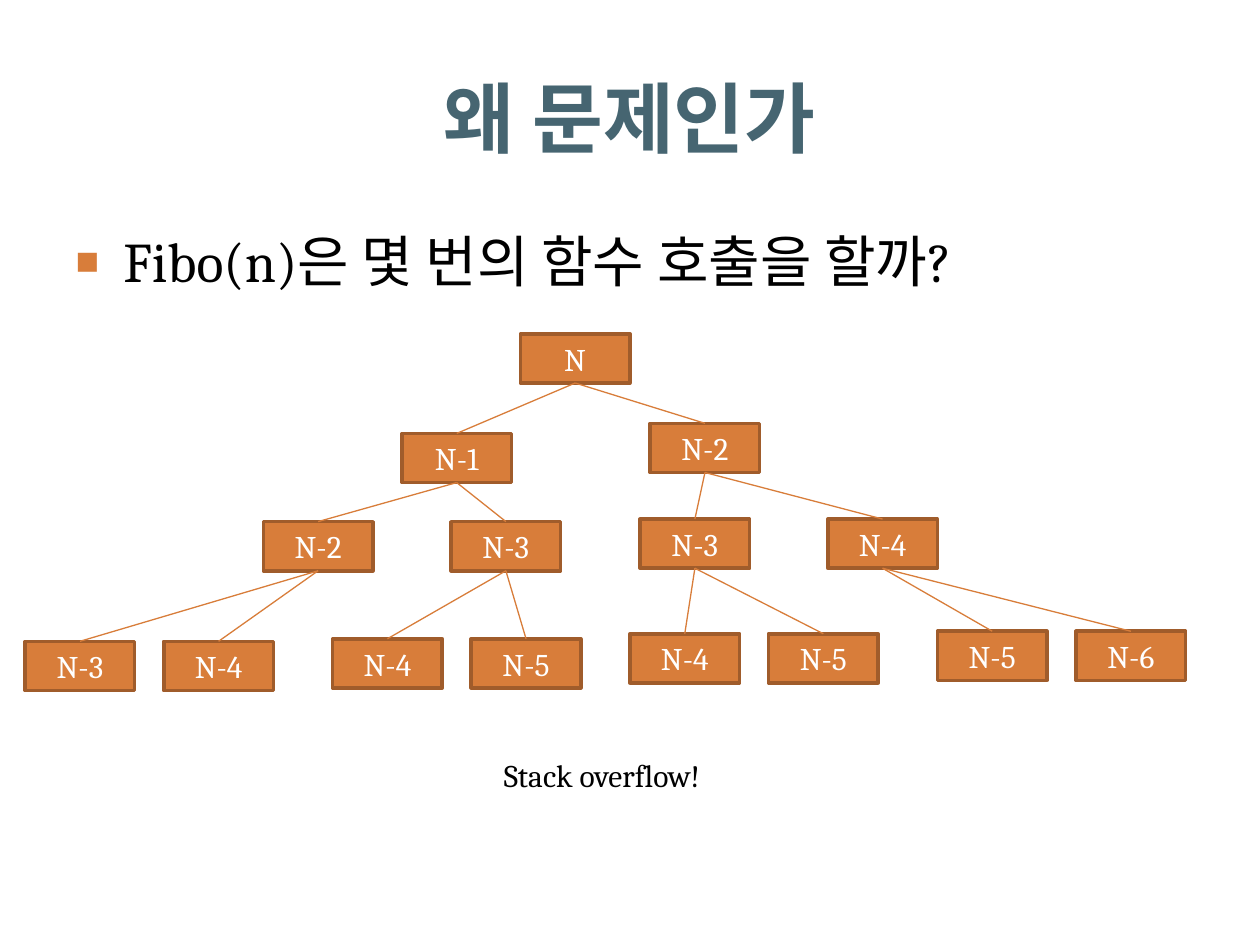
from dataclasses import dataclass

from lxml import etree
from pptx import Presentation
from pptx.dml.color import RGBColor
from pptx.enum.shapes import MSO_CONNECTOR, MSO_SHAPE
from pptx.enum.text import MSO_ANCHOR, MSO_AUTO_SIZE, PP_ALIGN
from pptx.oxml.ns import qn
from pptx.util import Inches, Pt

RECTANGLE = MSO_SHAPE.RECTANGLE
STRAIGHT = MSO_CONNECTOR.STRAIGHT
MIDDLE = MSO_ANCHOR.MIDDLE
TOP = MSO_ANCHOR.TOP
CENTER = PP_ALIGN.CENTER
LEFT = PP_ALIGN.LEFT
NO_AUTOFIT = MSO_AUTO_SIZE.NONE
FIT_SHAPE = MSO_AUTO_SIZE.SHAPE_TO_FIT_TEXT
BOTTOM_SITE, TOP_SITE = 2, 0


@dataclass(frozen=True)
class Theme:
    font: str = "Cambria"
    title: str = "466571"
    text: str = "000000"
    node_text: str = "FFFFFF"
    accent: str = "D87D3A"
    node_line: str = "A05C2B"
    title_size: int = 44
    body_size: int = 32
    label_size: int = 18


THEME = Theme()
NODE_WIDTH, NODE_HEIGHT = 0.87, 0.39
# Level order: the children of node i are nodes 2i + 1 and 2i + 2.
CALL_POSITIONS = [
    (4.13, 2.65),
    (3.19, 3.44), (5.16, 3.36),
    (2.09, 4.14), (3.58, 4.14), (5.08, 4.12), (6.57, 4.12),
    (0.2, 5.09), (1.3, 5.09), (2.64, 5.07), (3.74, 5.07),
    (5, 5.03), (6.1, 5.03), (7.44, 5.01), (8.54, 5.01),
]


def place(shape, left, top, width, height):
    shape.left, shape.top = Inches(left), Inches(top)
    shape.width, shape.height = Inches(width), Inches(height)


def write(shape, text, size, color, alignment=LEFT, anchor=TOP, bold=False):
    shape.text_frame.vertical_anchor = anchor
    paragraph = shape.text_frame.paragraphs[0]
    paragraph.alignment = alignment
    run = paragraph.add_run()
    run.text = text
    run.font.name = THEME.font
    run.font.size = Pt(size)
    run.font.bold = bold
    run.font.color.rgb = RGBColor.from_string(color)
    return paragraph


def add_square_bullet(paragraph):
    properties = paragraph._p.get_or_add_pPr()
    properties.set("marL", str(Inches(0.38)))
    properties.set("indent", str(Inches(-0.38)))
    color = etree.SubElement(properties, qn("a:buClr"))
    etree.SubElement(color, qn("a:srgbClr"), val=THEME.accent)
    etree.SubElement(properties, qn("a:buSzPct"), val="70000")
    etree.SubElement(properties, qn("a:buChar"), char="■")


def add_title(slide, text):
    title = slide.shapes.title
    place(title, 0.5, 0.3, 9, 1.25)
    title.text_frame.auto_size = NO_AUTOFIT
    write(title, text, THEME.title_size, THEME.title, CENTER, MIDDLE, True)


def add_body(slide, text):
    body = slide.placeholders[1]
    place(body, 0.5, 1.75, 9, 4.95)
    body.text_frame.auto_size = NO_AUTOFIT
    add_square_bullet(write(body, text, THEME.body_size, THEME.text))


def add_node(slide, left, top, label):
    node = slide.shapes.add_shape(
        RECTANGLE, Inches(left), Inches(top), Inches(NODE_WIDTH), Inches(NODE_HEIGHT))
    node.shadow.inherit = False
    node.fill.solid()
    node.fill.fore_color.rgb = RGBColor.from_string(THEME.accent)
    node.line.color.rgb = RGBColor.from_string(THEME.node_line)
    node.line.width = Pt(2)
    write(node, label, THEME.label_size, THEME.node_text, CENTER, MIDDLE)
    return node


def add_branch(slide, parent, child):
    branch = slide.shapes.add_connector(STRAIGHT, 0, 0, 0, 0)
    branch.begin_connect(parent, BOTTOM_SITE)
    branch.end_connect(child, TOP_SITE)
    branch.line.color.rgb = RGBColor.from_string(THEME.accent)
    branch.line.width = Pt(0.75)
    etree.SubElement(branch._element.spPr, qn("a:effectLst"))


def add_call_tree(slide):
    nodes, decrements = [], []
    for index, (left, top) in enumerate(CALL_POSITIONS):
        step = 1 if index % 2 else 2
        decrement = decrements[(index - 1) // 2] + step if index else 0
        decrements.append(decrement)
        label = f"N-{decrement}" if decrement else "N"
        nodes.append(add_node(slide, left, top, label))
    for index, node in enumerate(nodes[1:]):
        add_branch(slide, nodes[index // 2], node)


def add_caption(slide, text):
    caption = slide.shapes.add_textbox(
        Inches(3.9), Inches(5.95), Inches(1.86), Inches(0.4))
    caption.text_frame.word_wrap = False
    caption.text_frame.auto_size = FIT_SHAPE
    write(caption, text, THEME.label_size, THEME.text)


def main():
    presentation = Presentation()
    presentation.slide_width, presentation.slide_height = Inches(10), Inches(7.5)
    slide = presentation.slides.add_slide(presentation.slide_layouts[1])
    add_title(slide, "왜 문제인가")
    add_body(slide, "Fibo(n)은 몇 번의 함수 호출을 할까?")
    add_call_tree(slide)
    add_caption(slide, "Stack overflow!")
    presentation.save("out.pptx")


if __name__ == "__main__":
    main()
